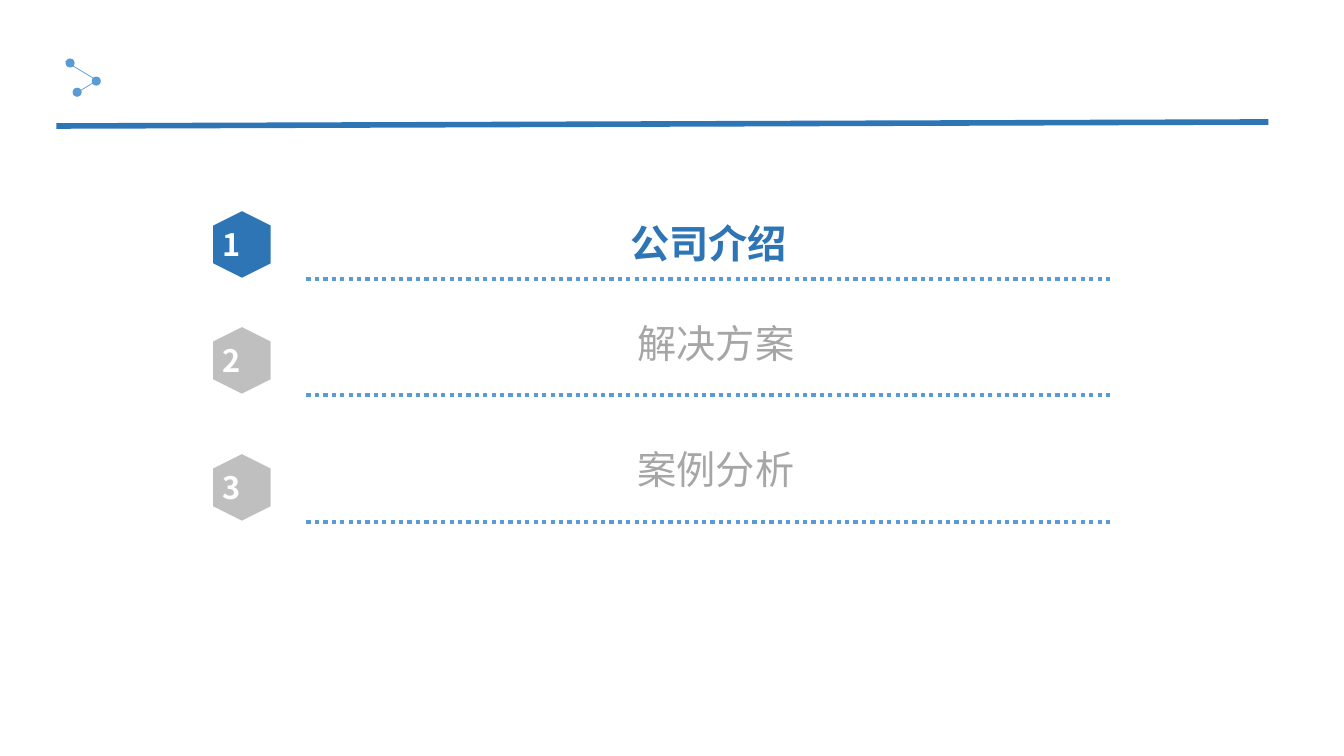
from lxml import etree
from pptx import Presentation
from pptx.dml.color import RGBColor
from pptx.enum.dml import MSO_LINE
from pptx.enum.shapes import MSO_CONNECTOR, MSO_SHAPE
from pptx.enum.text import MSO_ANCHOR, MSO_AUTO_SIZE, PP_ALIGN
from pptx.oxml.ns import qn
from pptx.util import Inches, Pt

DARK_BLUE = RGBColor(0x2E, 0x75, 0xB6)
LIGHT_BLUE = RGBColor(0x5B, 0x9B, 0xD5)
BADGE_GREY = RGBColor(0xBF, 0xBF, 0xBF)
TEXT_GREY = RGBColor(0xA6, 0xA6, 0xA6)
WHITE = RGBColor(0xFF, 0xFF, 0xFF)
FONT = "Noto Sans CJK SC"

STRAIGHT = MSO_CONNECTOR.STRAIGHT
HEXAGON = MSO_SHAPE.HEXAGON
OVAL = MSO_SHAPE.OVAL
DOTTED = MSO_LINE.ROUND_DOT
CENTER = PP_ALIGN.CENTER
MIDDLE = MSO_ANCHOR.MIDDLE
GROW = MSO_AUTO_SIZE.SHAPE_TO_FIT_TEXT

# Chapter, top of its row, left and top of its label relative to the row
CHAPTERS = [
    ("公司介绍", 2.1, 1.46, 0.08),
    ("解决方案", 3.25, 1.53, -0.08),
    ("案例分析", 4.51, 1.53, -0.09),
]
ACTIVE_CHAPTER = 1
ROW_LEFT = 2.03


def add_line(shapes, start, end, color, width):
    line = shapes.add_connector(STRAIGHT, *map(Inches, start + end))
    line.line.color.rgb = color
    line.line.width = Pt(width)
    etree.SubElement(line._element.spPr, qn("a:effectLst"))
    return line


def add_filled_shape(shapes, kind, box, color):
    shape = shapes.add_shape(kind, *map(Inches, box))
    shape.shadow.inherit = False
    shape.fill.solid()
    shape.fill.fore_color.rgb = color
    shape.line.fill.background()
    return shape


def write_centred(frame, text, size, color, bold):
    frame.margin_left = frame.margin_right = 0
    frame.margin_top = frame.margin_bottom = 0
    paragraph = frame.paragraphs[0]
    paragraph.alignment = CENTER
    run = paragraph.add_run()
    run.text = text
    run.font.name = FONT
    run.font.size = Pt(size)
    run.font.bold = bold
    run.font.color.rgb = color
    east_asian = etree.SubElement(run.font._element, qn("a:ea"))
    east_asian.set("typeface", FONT)


def add_header(slide, left, top):
    """Rule across the slide, with a small network of dots above it."""
    add_line(slide.shapes, (left, top + 0.67), (left + 12.02, top + 0.63),
             DARK_BLUE, 4)
    network = slide.shapes.add_group_shape().shapes
    for x, y in [(0.09, 0), (0.16, 0.29), (0.35, 0.18)]:
        add_filled_shape(network, OVAL, (left + x, top + y, 0.09, 0.09), LIGHT_BLUE)
    for x1, y1, x2, y2 in [(0.09, 0.03, 0.39, 0.21), (0.17, 0.36, 0.4, 0.22)]:
        add_line(network, (left + x1, top + y1), (left + x2, top + y2),
                 LIGHT_BLUE, 0.5)


def add_badge(slide, left, top, number, color):
    """Hexagon turned onto its point, with the number kept upright."""
    badge = add_filled_shape(slide.shapes, HEXAGON, (left, top, 0.66, 0.57), color)
    badge.rotation = 270
    frame = badge.text_frame
    frame.vertical_anchor = MIDDLE
    frame._txBody.bodyPr.set("vert", "eaVert")
    write_centred(frame, str(number), 22, WHITE, True)


def add_chapter_row(slide, left, top, number, chapter, label_x, label_y):
    active = number == ACTIVE_CHAPTER
    underline = add_line(slide.shapes, (left + 1.01, top + 0.67),
                         (left + 8.98, top + 0.67), LIGHT_BLUE, 3)
    underline.line.dash_style = DOTTED
    add_badge(slide, left + 0.04, top + 0.04, number,
              DARK_BLUE if active else BADGE_GREY)
    label = slide.shapes.add_textbox(Inches(left + label_x), Inches(top + label_y),
                                     Inches(7.08), Inches(0.57))
    label.text_frame.word_wrap = True
    label.text_frame.auto_size = GROW
    write_centred(label.text_frame, chapter, 28,
                  DARK_BLUE if active else TEXT_GREY, active)


def main():
    presentation = Presentation()
    presentation.slide_width = Inches(13.33)
    presentation.slide_height = Inches(7.5)
    slide = presentation.slides.add_slide(presentation.slide_layouts[6])
    add_header(slide, 0.56, 0.58)
    for number, (chapter, top, label_x, label_y) in enumerate(CHAPTERS, 1):
        add_chapter_row(slide, ROW_LEFT, top, number, chapter, label_x, label_y)
    presentation.save("out.pptx")


if __name__ == "__main__":
    main()
